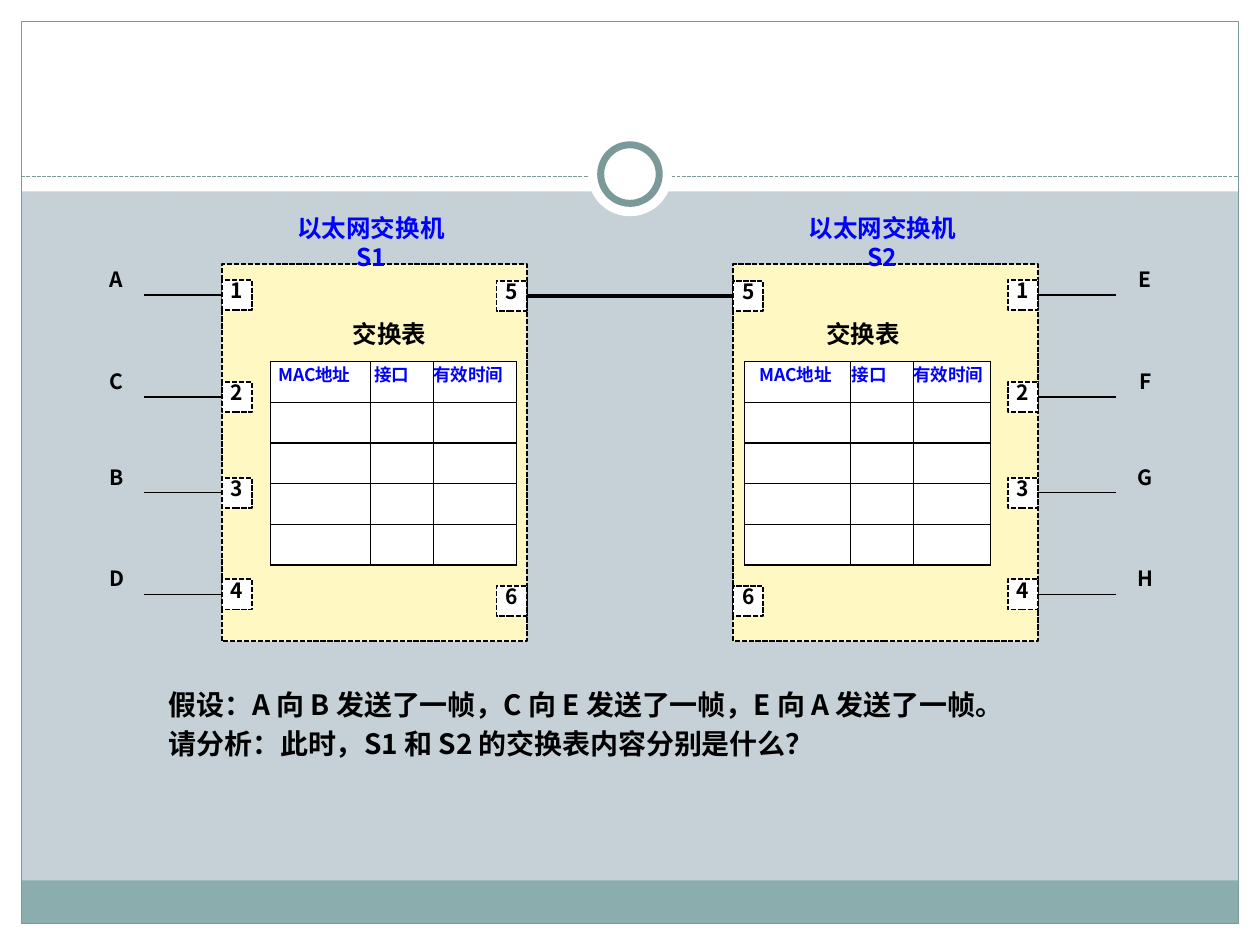
from lxml import etree
from pptx import Presentation
from pptx import util as u
from pptx.dml.color import RGBColor
from pptx.enum import dml, shapes, text
from pptx.oxml.ns import qn

COLORS = {"back": "C5D1D7", "white": "FFFFFF", "band": "8CADAE", "frame": "7C999A",
          "switch": "FFF8C2", "black": "000000", "blue": "0000FF"}
FONT = "Noto Sans CJK SC"
WIDTH, HEIGHT = 25.4, 19.05
EDGE = 0.43
CENTER, RING_Y = WIDTH / 2, 3.51

SWITCH_TOP, SWITCH_W, SWITCH_H = 5.33, 6.15, 7.6
PORT = 0.61
HOST_TOPS = (5.64, 7.7, 9.63, 11.68)
TRUNK_TOPS = (5.66, 11.81)
TABLE_TOP, ROW_H, ROWS = 7.29, 0.82, 5
HEADERS = ("MAC地址", "接口", "有效时间")

SWITCHES = (
    {"name": "S1", "left": 4.47, "hosts": "ACBD", "host_x": 2.35, "wire_x": 2.9,
     "caption_x": 6.86, "table_x": 5.46, "columns": (2.01, 1.27, 1.68),
     "indents": (0.15, 0.08, 0), "hosts_on_left": True},
    {"name": "S2", "left": 14.78, "hosts": "EFGH", "host_x": 23.09, "wire_x": 22.5,
     "caption_x": 16.41, "table_x": 15.01, "columns": (2.13, 1.27, 1.55),
     "indents": (0.3, 0.03, 0), "hosts_on_left": False},
)
QUESTION = ("假设：A 向 B 发送了一帧，C 向 E 发送了一帧，E 向 A 发送了一帧。",
            "请分析：此时，S1 和 S2 的交换表内容分别是什么？")


def rgb(name):
    return RGBColor.from_string(COLORS[name])


class Board:
    """Holds the text style and the slide being drawn; lengths are in cm."""

    def __init__(self, slide):
        self.s = slide
        self.font = {"name": FONT, "bold": True}

    def run(self, p, content, size, color="black"):
        r = p.add_run()
        r.text = content
        for key, value in {**self.font, "size": u.Pt(size)}.items():
            setattr(r.font, key, value)
        r.font.color.rgb = rgb(color)
        etree.SubElement(r._r.get_or_add_rPr(), qn("a:ea"), typeface=FONT)

    def stroke(self, line, color, width, dashed):
        line.color.rgb = rgb(color)
        line.width = u.Pt(width)
        if dashed:
            line.dash_style = dml.MSO_LINE.SQUARE_DOT

    def shape(self, x, y, w, h, fill=None, line=None, width=0.75, dashed=False,
              kind=shapes.MSO_SHAPE.RECTANGLE):
        sp = self.s.shapes.add_shape(kind, u.Cm(x), u.Cm(y), u.Cm(w), u.Cm(h))
        sp.shadow.inherit = False
        if fill:
            sp.fill.solid()
            sp.fill.fore_color.rgb = rgb(fill)
        else:
            sp.fill.background()
        if line:
            self.stroke(sp.line, line, width, dashed)
        else:
            sp.line.fill.background()
        return sp

    def ring(self, diameter, **look):
        r = diameter / 2
        self.shape(CENTER - r, RING_Y - r, diameter, diameter, "white",
                   kind=shapes.MSO_SHAPE.OVAL, **look)

    def line(self, x1, y1, x2, y2, color="black", width=0.75, dashed=False):
        cx = self.s.shapes.add_connector(
            shapes.MSO_CONNECTOR.STRAIGHT, u.Cm(x1), u.Cm(y1), u.Cm(x2), u.Cm(y2))
        self.stroke(cx.line, color, width, dashed)
        etree.SubElement(cx._element.spPr, qn("a:effectLst"))
        return cx

    def text(self, x, y, w, h, lines, size, color="black", align=None,
             wrap=True, spacing=None):
        tf = self.s.shapes.add_textbox(u.Cm(x), u.Cm(y), u.Cm(w), u.Cm(h)).text_frame
        tf.word_wrap = wrap
        for i, content in enumerate(lines):
            p = tf.add_paragraph() if i else tf.paragraphs[0]
            p.alignment = align
            p.line_spacing = spacing
            self.run(p, content, size, color)

    def port(self, x, y, number):
        sp = self.shape(x, y, PORT, PORT, "white", "black", 1, True)
        tf = sp.text_frame
        layout = {"margin_left": 0, "margin_right": 0, "margin_top": 0,
                  "margin_bottom": u.Cm(0.18), "word_wrap": False,
                  "vertical_anchor": text.MSO_ANCHOR.MIDDLE}
        for key, value in layout.items():
            setattr(tf, key, value)
        tf.paragraphs[0].alignment = text.PP_ALIGN.CENTER
        self.run(tf.paragraphs[0], str(number), 12)
        return sp

    def borders(self, cell):
        tc_pr = cell._tc.get_or_add_tcPr()
        for side in ("lnL", "lnR", "lnT", "lnB"):
            ln = etree.SubElement(tc_pr, qn(f"a:{side}"), w=str(u.Pt(0.75)))
            fill = etree.SubElement(ln, qn("a:solidFill"))
            etree.SubElement(fill, qn("a:srgbClr"), val=COLORS["black"])

    def table(self, x, columns, indents):
        frame = self.s.shapes.add_table(
            ROWS, len(columns), u.Cm(x), u.Cm(TABLE_TOP),
            u.Cm(sum(columns)), u.Cm(ROW_H * ROWS))
        table = frame.table
        table.first_row = table.horz_banding = False
        for column, width in zip(table.columns, columns):
            column.width = u.Cm(width)
        for row in table.rows:
            row.height = u.Cm(ROW_H)
            for cell, indent in zip(row.cells, indents):
                self.borders(cell)
                cell.fill.solid()
                cell.fill.fore_color.rgb = rgb("white")
                cell.margin_left = u.Cm(indent)
                cell.margin_right = cell.margin_top = cell.margin_bottom = 0
        for cell, header in zip(table.rows[0].cells, HEADERS):
            self.run(cell.text_frame.paragraphs[0], header, 10, "blue")

    def backdrop(self):
        fill = self.s.background.fill
        fill.solid()
        fill.fore_color.rgb = rgb("back")
        for box in ((0, HEIGHT - EDGE, WIDTH, EDGE), (0, 0, WIDTH, 3.86),
                    (0, 0, EDGE, HEIGHT), (WIDTH - EDGE, 0, EDGE, HEIGHT)):
            self.shape(*box, "white")
        inner = WIDTH - 2 * EDGE
        self.shape(EDGE, 17.75, inner, 0.87, "band")
        self.shape(EDGE, EDGE, inner, HEIGHT - 2 * EDGE, line="frame")
        self.line(EDGE, 3.56, WIDTH - EDGE, 3.56, "frame", dashed=True)
        self.ring(1.7)
        self.ring(1.18, line="frame", width=4)

    def switch(self, name, left, hosts, host_x, wire_x, caption_x, table_x,
               columns, indents, hosts_on_left):
        """Draw a switch with its hosts and return its port 5."""
        far = left + SWITCH_W - PORT
        host_port_x, trunk_x = (left, far) if hosts_on_left else (far, left)
        self.shape(left, SWITCH_TOP, SWITCH_W, SWITCH_H, "switch", "black", 1, True)
        self.text(left + 1.21, 4.17, 3.6, 0.84, [f"以太网交换机 {name}"], 14, "blue",
                  text.PP_ALIGN.CENTER)
        self.text(caption_x, 6.3, 2.01, 0.84, ["交换表"], 14, wrap=False)
        self.table(table_x, columns, indents)
        for number, (host, y) in enumerate(zip(hosts, HOST_TOPS), 1):
            port = self.port(host_port_x, y, number)
            middle = y + PORT / 2
            wire = self.line(wire_x, middle, host_port_x, middle)
            wire.end_connect(port, 1 if hosts_on_left else 3)
            self.text(host_x - 0.45, y - 0.4, 0.9, 0.77, [host], 12,
                      align=text.PP_ALIGN.CENTER, wrap=False)
        return [self.port(trunk_x, y, n) for n, y in enumerate(TRUNK_TOPS, 5)][0]


def main():
    prs = Presentation()
    prs.slide_width, prs.slide_height = u.Cm(WIDTH), u.Cm(HEIGHT)
    board = Board(prs.slides.add_slide(prs.slide_layouts[6]))
    board.backdrop()
    left_port, right_port = [board.switch(**switch) for switch in SWITCHES]
    trunk = board.line(10.6, 5.97, 14.8, 5.97, width=2.25)
    trunk.begin_connect(left_port, 3)
    trunk.end_connect(right_port, 1)
    board.text(3.15, 13.64, 19.56, 1.83, QUESTION, 16, spacing=u.Pt(22))
    prs.save("out.pptx")


if __name__ == "__main__":
    main()
